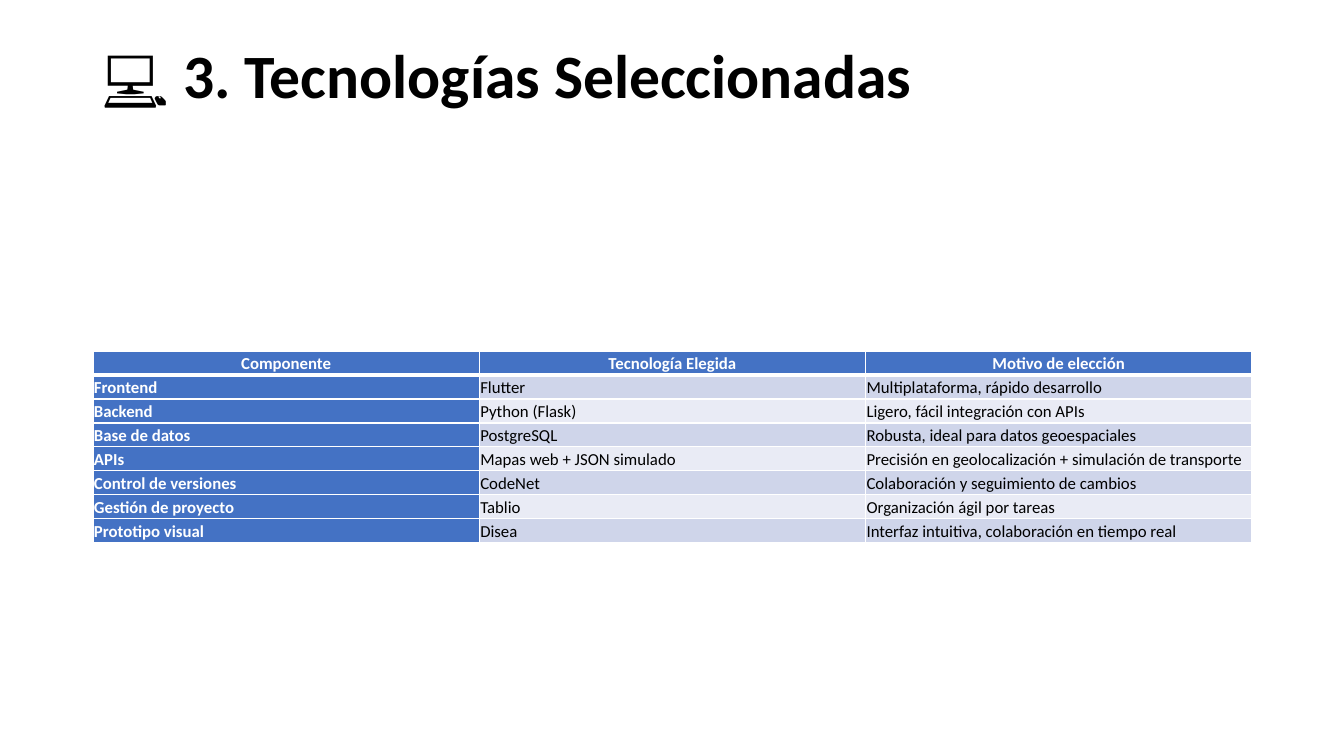
import pptx
import pptx.dml.color
import pptx.enum.text
import pptx.oxml
import pptx.oxml.ns
import pptx.util

PX = 914400 / 100.8
FONT = "Calibri"
COLORS = {
    "header": "4472C4",
    "odd": "CFD5EA",
    "even": "E9EBF5",
    "white": "FFFFFF",
    "black": "000000",
}
TITLE = "💻 3. Tecnologías Seleccionadas"
ROWS = [
    ("Componente", "Tecnología Elegida", "Motivo de elección"),
    ("Frontend", "Flutter", "Multiplataforma, rápido desarrollo"),
    ("Backend", "Python (Flask)", "Ligero, fácil integración con APIs"),
    ("Base de datos", "PostgreSQL", "Robusta, ideal para datos geoespaciales"),
    ("APIs", "Mapas web + JSON simulado", "Precisión en geolocalización + simulación de transporte"),
    ("Control de versiones", "CodeNet", "Colaboración y seguimiento de cambios"),
    ("Gestión de proyecto", "Tablio", "Organización ágil por tareas"),
    ("Prototipo visual", "Disea", "Interfaz intuitiva, colaboración en tiempo real"),
]


def px(length):
    """Turn a length in px into EMU."""
    return pptx.util.Emu(round(length * PX))


def rgb(name):
    """Return the named colour."""
    return pptx.dml.color.RGBColor.from_string(COLORS[name])


def format_text(text_frame, size, color, bold, line_spacing):
    """Format the only paragraph of a text frame and return it."""
    paragraph = text_frame.paragraphs[0]
    paragraph.line_spacing = line_spacing
    font = paragraph.runs[0].font
    font.name = FONT
    font.size = pptx.util.Pt(size)
    font.bold = bold
    font.color.rgb = rgb(color)
    return paragraph


def set_borders(cell, top, bottom):
    """Draw white cell borders with the given top and bottom widths in points."""
    properties = cell._tc.get_or_add_tcPr()
    widths = {"lnL": 1, "lnR": 1, "lnT": top, "lnB": bottom}
    for index, (side, width) in enumerate(widths.items()):
        border = pptx.oxml.parse_xml(
            f'<a:{side} {pptx.oxml.ns.nsdecls("a")} w="{pptx.util.Pt(width)}"><a:solidFill>'
            f'<a:srgbClr val="{COLORS["white"]}"/></a:solidFill></a:{side}>'
        )
        properties.insert(index, border)


def add_title(slide, left, top, width, height):
    """Place the slide title at the top of its box."""
    text_frame = slide.shapes.add_textbox(px(left), px(top), px(width), px(height)).text_frame
    text_frame.word_wrap = True
    text_frame.vertical_anchor = pptx.enum.text.MSO_ANCHOR.TOP
    text_frame.text = TITLE
    format_text(text_frame, 44, "black", True, 0.9)


def fill_cell(cell, text, row, column):
    """Write one table cell and style it by its row and column."""
    is_label = row == 0 or column == 0
    cell.margin_left = cell.margin_right = cell.margin_top = cell.margin_bottom = px(1)
    cell.vertical_anchor = pptx.enum.text.MSO_ANCHOR.MIDDLE
    cell.text_frame.text = text
    paragraph = format_text(cell.text_frame, 12, "white" if is_label else "black", is_label, 1.07)
    paragraph.space_after = pptx.util.Pt(8)
    if row == 0:
        paragraph.alignment = pptx.enum.text.PP_ALIGN.CENTER
    cell.fill.solid()
    cell.fill.fore_color.rgb = rgb("header" if is_label else "odd" if row % 2 else "even")
    set_borders(cell, 3 if row == 1 else 1, 3 if row == 0 else 1)


def add_technology_table(slide, left, top, width, height):
    """Place the technology table, with equal columns and rows."""
    table = slide.shapes.add_table(
        len(ROWS), len(ROWS[0]), px(left), px(top), px(width), px(height)
    ).table
    for column in table.columns:
        column.width = px(width / len(ROWS[0]))
    for row, texts in enumerate(ROWS):
        table.rows[row].height = px(height / len(ROWS))
        for column, text in enumerate(texts):
            fill_cell(table.cell(row, column), text, row, column)


def main():
    """Build the slide and save it."""
    presentation = pptx.Presentation()
    presentation.slide_width = px(1344)
    presentation.slide_height = px(756)
    slide = presentation.slides.add_slide(presentation.slide_layouts[6])
    add_title(slide, 93, 40, 1159, 146)
    add_technology_table(slide, 93, 351, 1159, 192)
    presentation.save("out.pptx")


if __name__ == "__main__":
    main()
